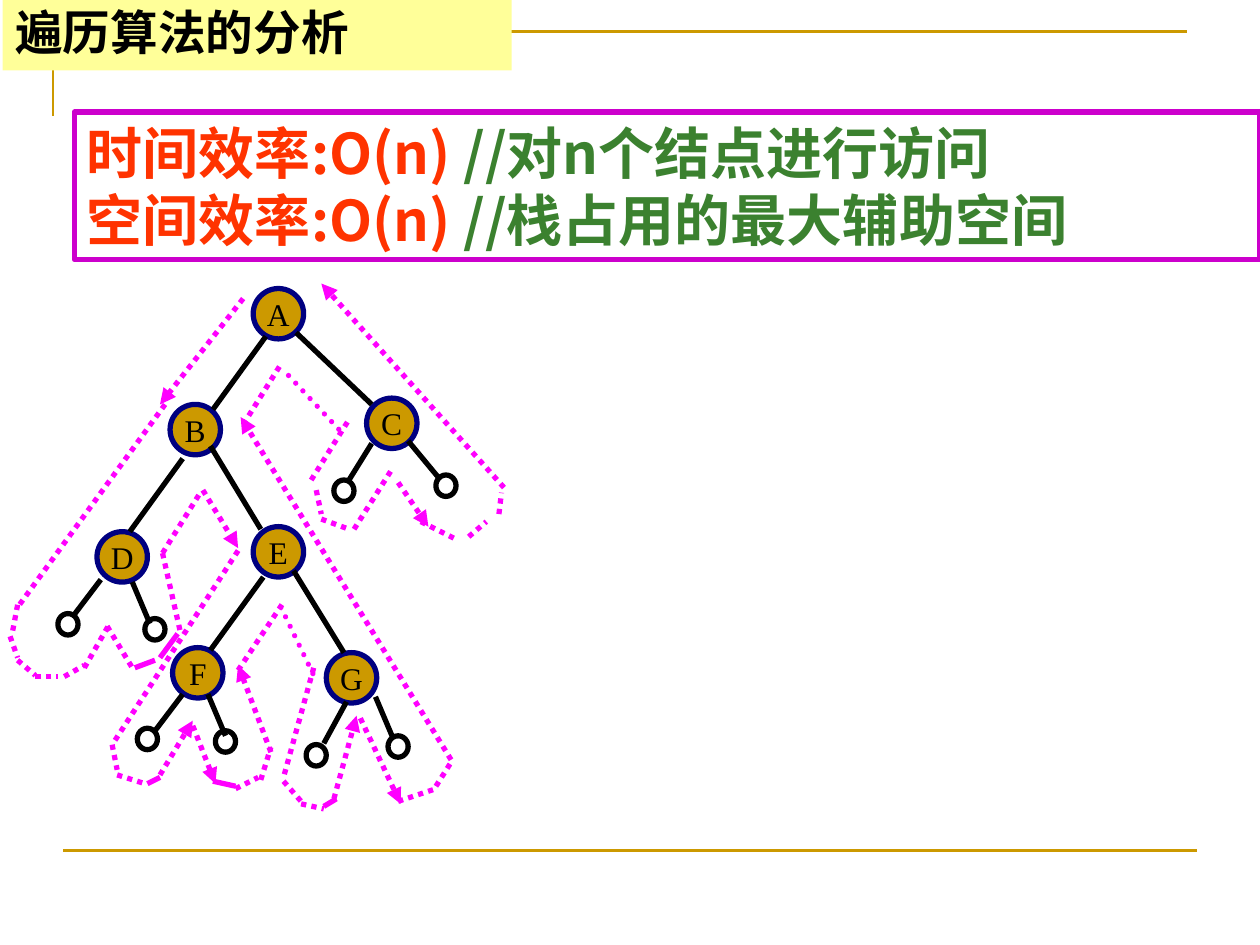
from pptx import Presentation, util as u
from pptx.dml.color import RGBColor
from pptx.enum import dml, shapes, text
from pptx.oxml import ns
from lxml import etree

GOLD = RGBColor(0xCC, 0x99, 0x00)
NAVY = RGBColor(0x00, 0x00, 0x80)
BLACK = RGBColor(0x00, 0x00, 0x00)
PINK = RGBColor(0xFF, 0x00, 0xFF)
PURPLE = RGBColor(0xCC, 0x00, 0xCC)
RED = RGBColor(0xFF, 0x33, 0x00)
GREEN = RGBColor(0x3B, 0x81, 0x2F)
CREAM = RGBColor(0xFF, 0xFF, 0x99)
SANS, SERIF = "Noto Sans CJK SC", "Times New Roman"

TITLE = "遍历算法的分析"
COSTS = [("时间效率:O(n) ", "//对n个结点进行访问"),
         ("空间效率:O(n) ", "//栈占用的最大辅助空间")]
NODES = {"A": (2.01, 2.29), "B": (1.35, 3.21), "C": (2.91, 3.16), "D": (0.77, 4.22),
         "E": (2.01, 4.18), "F": (1.37, 5.14), "G": (2.59, 5.18)}
LEAVES = [(0.46, 4.87), (1.15, 4.91), (1.09, 5.78), (1.71, 5.8),
          (2.43, 5.91), (3.08, 5.84), (3.46, 3.77), (2.65, 3.81)]
EDGES = [
    (2.11, 2.67, 1.69, 3.25), (1.45, 3.64, 1.03, 4.22), (2.09, 4.58, 1.67, 5.16),
    (2.95, 3.52, 2.77, 3.81), (2.35, 2.64, 2.95, 3.21), (1.67, 3.54, 2.07, 4.2),
    (2.33, 4.53, 2.73, 5.18), (0.8, 4.6, 0.58, 4.89), (1.05, 4.62, 1.19, 4.95),
    (1.45, 5.51, 1.23, 5.8), (2.75, 5.57, 2.57, 5.9), (1.65, 5.51, 1.79, 5.84),
    (2.98, 5.53, 3.12, 5.86), (3.24, 3.5, 3.48, 3.79)]
SOLID = [
    (1.17, 6.22, 1.27, 6.17), (1.69, 6.2, 1.87, 6.24), (2.57, 6.4, 2.67, 6.34),
    (1.07, 5.3, 1.23, 5.24), (1.27, 5.22, 1.41, 5.03)]
BEADS = [(2.23, 4.82, 2.49, 5.36), (2.29, 2.98, 2.71, 3.43)]
DOTS = [
    (0.08, 5.05, 0.14, 5.22), (0.28, 5.37, 0.46, 5.37), (3.96, 4.08, 3.98, 3.91),
    (1.31, 3.21, 0.14, 4.82), (0.14, 4.8, 0.1, 5.01), (0.14, 5.24, 0.28, 5.36),
    (0.51, 5.37, 0.67, 5.28), (0.67, 5.3, 0.87, 4.95), (0.85, 4.97, 1.05, 5.3),
    (1.29, 4.39, 1.43, 5.01), (1.29, 4.39, 1.59, 3.91), (1.89, 4.37, 0.91, 5.88),
    (0.89, 5.91, 0.93, 6.11), (0.93, 6.15, 1.15, 6.22), (1.87, 6.26, 2.05, 6.17),
    (2.07, 6.19, 2.15, 5.93), (1.89, 5.32, 2.25, 4.78), (2.49, 5.3, 2.25, 6.17),
    (2.25, 6.2, 2.39, 6.36), (2.39, 6.38, 2.57, 6.42), (3.16, 6.36, 3.46, 6.26),
    (3.46, 6.24, 3.58, 6.05), (2.81, 4.2, 3.12, 3.71), (3.34, 4.14, 3.62, 4.28),
    (3.72, 4.26, 3.86, 4.14), (1.93, 3.37, 2.23, 2.89), (2.47, 3.81, 2.77, 3.33),
    (2.51, 3.89, 2.55, 4.08), (2.55, 4.12, 2.77, 4.2)]
ARROWS = [
    (1.93, 2.37, 1.27, 3.21), (1.61, 3.89, 1.89, 4.35), (1.27, 6.15, 1.53, 5.72),
    (1.53, 5.76, 1.71, 6.22), (2.15, 5.97, 1.89, 5.28), (2.65, 6.34, 2.83, 5.68),
    (2.86, 5.7, 3.18, 6.38), (3.58, 6.03, 1.91, 3.31), (3.16, 3.83, 3.4, 4.18),
    (4, 3.87, 2.55, 2.25)]
LINES = [(EDGES, BLACK, {}), (SOLID, PINK, {}), (BEADS, PINK, {"dot": True, "cap": "rnd"}),
         (DOTS, PINK, {"dot": True}), (ARROWS, PINK, {"dot": True, "head": True})]


def inch(*vals):
    return [u.Inches(v) for v in vals]


def style(shape, fill=None, line=None, width=3):
    shape.shadow.inherit = False
    if fill is None:
        shape.fill.background()
    else:
        shape.fill.solid()
        shape.fill.fore_color.rgb = fill
    if line is None:
        shape.line.fill.background()
    else:
        shape.line.color.rgb = line
        shape.line.width = u.Pt(width)


def write(para, words, face, size, color, bold=False):
    run = para.add_run()
    run.text = words
    for key, val in {"name": face, "size": u.Pt(size), "bold": bold}.items():
        setattr(run.font, key, val)
    run.font.color.rgb = color
    etree.SubElement(run.font._element, ns.qn("a:ea"), typeface=face)


def frame(shape, **look):
    base = {"margin_left": u.Inches(0.1), "margin_right": u.Inches(0.1),
            "margin_top": u.Inches(0.05), "margin_bottom": u.Inches(0.05)}
    for key, val in {**base, **look}.items():
        setattr(shape.text_frame, key, val)
    return shape.text_frame


def link(pool, ends, color, width=3, dot=False, head=False, cap=None):
    line = pool.add_connector(shapes.MSO_CONNECTOR.STRAIGHT, *inch(*ends))
    line.line.color.rgb = color
    line.line.width = u.Pt(width)
    props = line.element.spPr
    stroke = props.find(ns.qn("a:ln"))
    if dot:
        line.line.dash_style = dml.MSO_LINE.ROUND_DOT
    if cap:
        stroke.set("cap", cap)
    if head:
        etree.SubElement(stroke, ns.qn("a:tailEnd"), type="triangle")
    etree.SubElement(props, ns.qn("a:effectLst"))


def disc(pool, spot, size, fill, line):
    shape = pool.add_shape(shapes.MSO_SHAPE.OVAL, *inch(*spot, *size))
    style(shape, fill, line)
    return shape


def main():
    deck = Presentation()
    deck.slide_width, deck.slide_height = inch(10, 7.5)
    slide = deck.slides.add_slide(deck.slide_layouts[5])
    pool = slide.shapes

    path = pool.build_freeform(*inch(0.42, 0.92), scale=1.0)
    path.add_line_segments([inch(0.42, 0.25), inch(9.42, 0.25)], close=False)
    style(path.convert_to_shape(), None, GOLD, 1.5)
    link(pool, (0.5, 6.75, 9.5, 6.75), GOLD, 1.5)

    tree = pool.add_group_shape().shapes
    for name, spot in NODES.items():
        node = disc(tree, spot, (0.4, 0.4), GOLD, NAVY)
        body = frame(node, word_wrap=False, vertical_anchor=text.MSO_ANCHOR.MIDDLE)
        body.paragraphs[0].alignment = text.PP_ALIGN.CENTER
        write(body.paragraphs[0], name, SERIF, 18, BLACK)
    for spot in LEAVES:
        disc(tree, spot, (0.16, 0.17), None, BLACK)
    for group, color, look in LINES:
        for ends in group:
            link(tree, ends, color, **look)

    box = pool.add_shape(shapes.MSO_SHAPE.RECTANGLE, *inch(0.59, 0.89, 9.41, 1.17))
    style(box, None, PURPLE)
    body = frame(box, word_wrap=True, vertical_anchor=text.MSO_ANCHOR.TOP,
                 auto_size=text.MSO_AUTO_SIZE.SHAPE_TO_FIT_TEXT)
    for row, (cost, note) in enumerate(COSTS):
        para = body.add_paragraph() if row else body.paragraphs[0]
        para.alignment = text.PP_ALIGN.LEFT
        write(para, cost, SANS, 32, RED, True)
        write(para, note, SANS, 32, GREEN, True)

    title = pool.title
    title.left, title.top, title.width, title.height = inch(0.02, 0, 4.04, 0.56)
    title.fill.solid()
    title.fill.fore_color.rgb = CREAM
    body = frame(title, word_wrap=True, vertical_anchor=text.MSO_ANCHOR.MIDDLE,
                 auto_size=text.MSO_AUTO_SIZE.NONE)
    para = body.paragraphs[0]
    para.alignment = text.PP_ALIGN.LEFT
    para.line_spacing = 0.9
    write(para, TITLE, SANS, 27.2, BLACK, True)
    title.element.getparent().append(title.element)

    deck.save("out.pptx")


if __name__ == "__main__":
    main()
